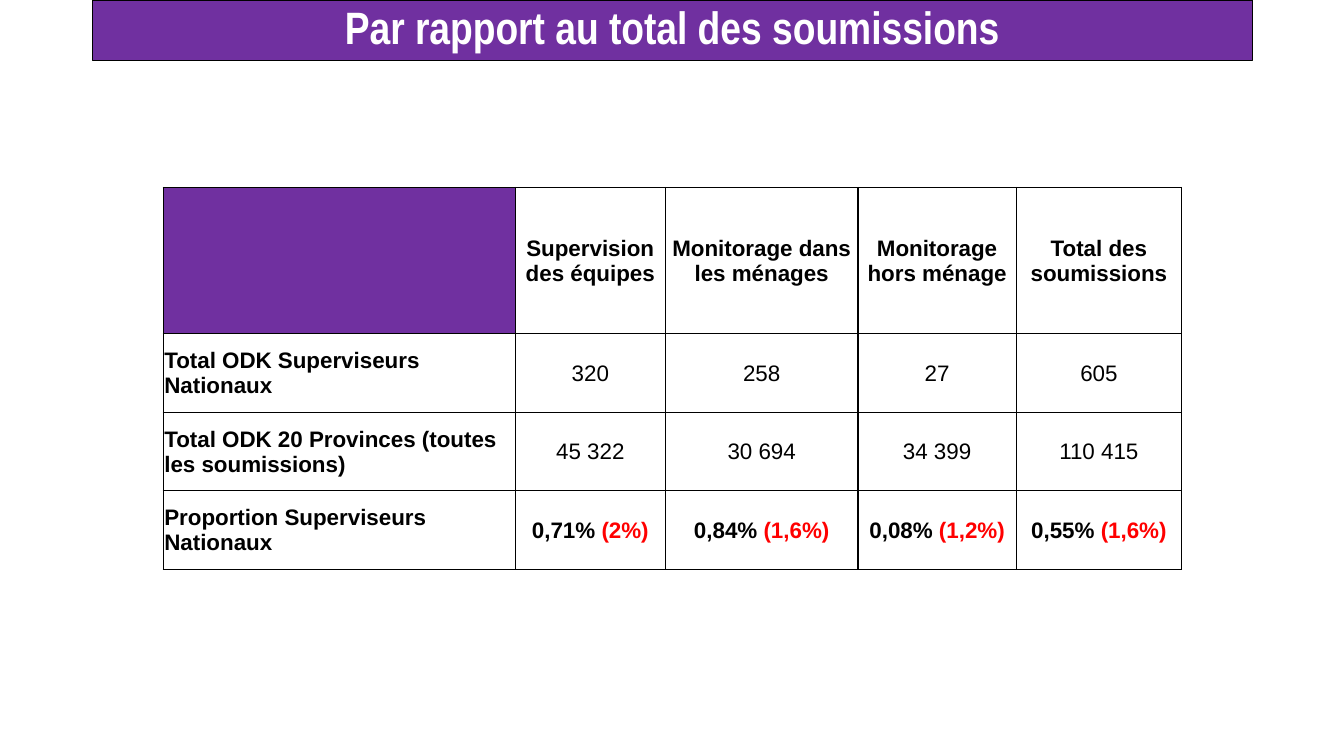
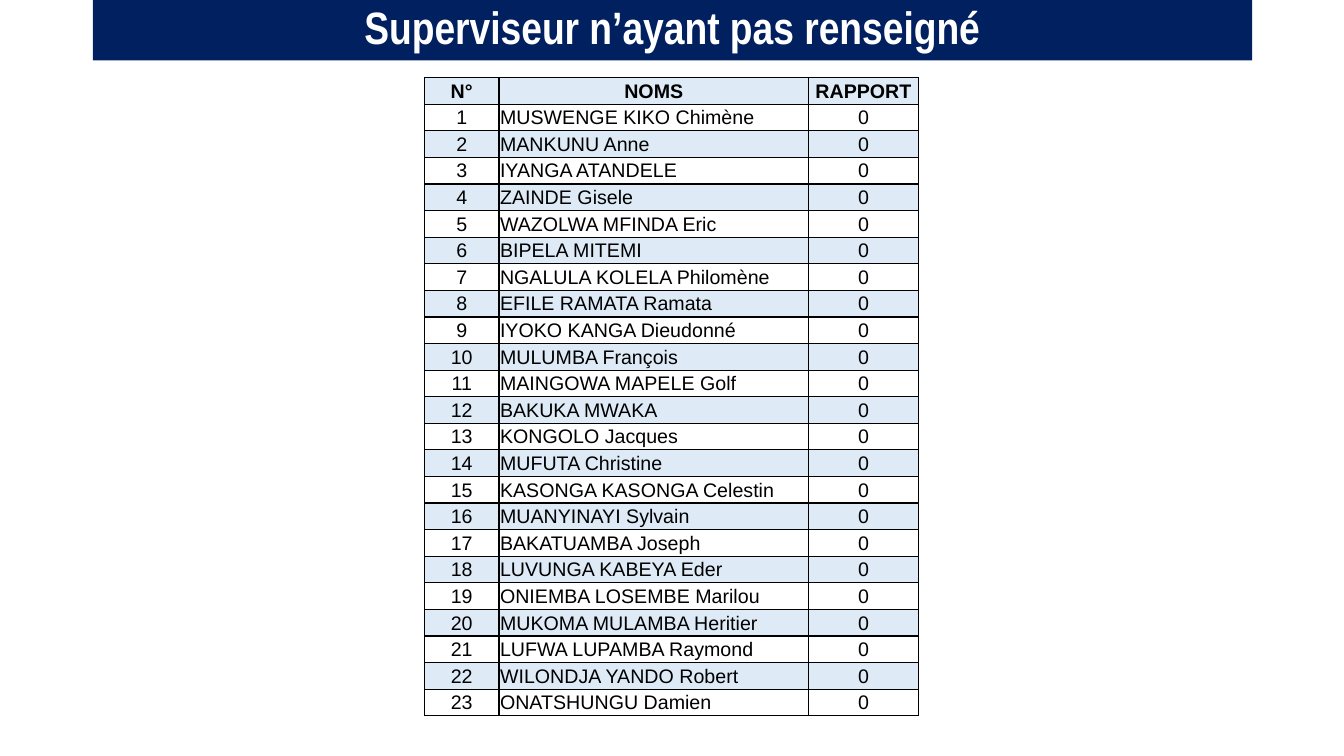
from pptx import Presentation
from pptx.dml.color import RGBColor
from pptx.enum.text import MSO_ANCHOR, MSO_AUTO_SIZE, PP_ALIGN
from pptx.oxml import parse_xml
from pptx.oxml.ns import nsdecls
from pptx.util import Inches, Pt

LEFT, CENTER = PP_ALIGN.LEFT, PP_ALIGN.CENTER
MIDDLE, NO_FIT = MSO_ANCHOR.MIDDLE, MSO_AUTO_SIZE.NONE

COLORS = {
    "purple": "7030A0",
    "navy": "002060",
    "band": "DEEBF7",
    "white": "FFFFFF",
    "black": "000000",
    "red": "FF0000",
}
TITLE_BOX = dict(left=Inches(0.92), top=Inches(0),
                 width=Inches(11.5), height=Inches(0.6))
TITLE_FONT = dict(name="Arial Narrow", size=Pt(32.4), bold=True)
CELL_PAD = dict(margin_left=Inches(0.01), margin_right=Inches(0.01),
                margin_top=Inches(0.01), margin_bottom=0,
                vertical_anchor=MIDDLE)

# A bar splits a cell into a black part and a red part
TOTALS = [
    ["", "Supervision des équipes", "Monitorage dans les ménages",
     "Monitorage hors ménage", "Total des soumissions"],
    ["Total ODK Superviseurs Nationaux", "320", "258", "27", "605"],
    ["Total ODK 20 Provinces (toutes les soumissions)",
     "45 322", "30 694", "34 399", "110 415"],
    ["Proportion Superviseurs Nationaux", "0,71% |(2%)", "0,84% |(1,6%)",
     "0,08% |(1,2%)", "0,55% |(1,6%)"],
]
NAMES = [
    "MUSWENGE KIKO Chimène", "MANKUNU Anne", "IYANGA ATANDELE",
    "ZAINDE Gisele", "WAZOLWA MFINDA Eric", "BIPELA MITEMI",
    "NGALULA KOLELA Philomène", "EFILE RAMATA Ramata",
    "IYOKO KANGA Dieudonné", "MULUMBA François", "MAINGOWA MAPELE Golf",
    "BAKUKA MWAKA", "KONGOLO Jacques", "MUFUTA Christine",
    "KASONGA KASONGA Celestin", "MUANYINAYI Sylvain", "BAKATUAMBA Joseph",
    "LUVUNGA KABEYA Eder", "ONIEMBA LOSEMBE Marilou",
    "MUKOMA MULAMBA Heritier", "LUFWA LUPAMBA Raymond",
    "WILONDJA YANDO Robert", "ONATSHUNGU Damien",
]


def rgb(key):
    return RGBColor.from_string(COLORS[key])


def apply(item, values):
    for key, value in values.items():
        setattr(item, key, value)


def paint(item, key):
    item.fill.solid()
    item.fill.fore_color.rgb = rgb(key)


def add_slide(prs, title, color, edge=None):
    """Add a slide with its title in a coloured band."""
    slide = prs.slides.add_slide(prs.slide_layouts[5])
    band = slide.shapes.title
    apply(band, TITLE_BOX)
    paint(band, color)
    if edge:
        band.line.color.rgb = rgb(edge)
        band.line.width = Pt(0.75)
    frame = band.text_frame
    apply(frame, dict(text=title, word_wrap=True, auto_size=NO_FIT,
                      vertical_anchor=MIDDLE))
    para = frame.paragraphs[0]
    apply(para, dict(alignment=CENTER, line_spacing=0.9))
    apply(para.font, TITLE_FONT)
    para.font.color.rgb = rgb("white")
    return slide


def add_borders(cell):
    props = cell._tc.get_or_add_tcPr()
    for side in "LRTB":
        props.append(parse_xml(
            f'<a:ln{side} {nsdecls("a")} w="12700"><a:solidFill>'
            f'<a:srgbClr val="{COLORS["black"]}"/></a:solidFill></a:ln{side}>'))


def fill_cell(cell, text, size, bold, align, color):
    apply(cell, CELL_PAD)
    add_borders(cell)
    paint(cell, color)
    para = cell.text_frame.paragraphs[0]
    para.alignment = align
    for part, ink in zip(text.split("|"), ("black", "red")):
        if part:
            run = para.add_run()
            run.text = part
            apply(run.font, dict(name="Arial", size=Pt(size), bold=bold))
            run.font.color.rgb = rgb(ink)


def add_grid(slide, left, top, widths, heights, rows, style):
    """Add a table; style(row, col) gives the format of each cell."""
    frame = slide.shapes.add_table(
        len(rows), len(widths), Inches(left), Inches(top),
        Inches(sum(widths)), Inches(sum(heights)))
    table = frame.table
    apply(table, dict(first_row=False, horz_banding=False))
    for col, width in zip(table.columns, widths):
        col.width = Inches(width)
    for row, height in zip(table.rows, heights):
        row.height = Inches(height)
    for r, texts in enumerate(rows):
        for c, text in enumerate(texts):
            fill_cell(table.cell(r, c), text, **style(r, c))


def total_style(row, col):
    return dict(size=16, bold=row in (0, 3) or col == 0,
                align=CENTER if col else LEFT,
                color="white" if row or col else "purple")


def name_style(row, col):
    return dict(size=14, bold=row == 0,
                align=LEFT if row and col == 1 else CENTER,
                color="white" if row % 2 else "band")


def main():
    prs = Presentation()
    apply(prs, dict(slide_width=Inches(13.33), slide_height=Inches(7.5)))

    # Share of all submissions
    slide = add_slide(prs, "Par rapport au total des soumissions",
                      "purple", "black")
    add_grid(slide, 1.62, 1.86, [3.49, 1.49, 1.91, 1.57, 1.64],
             [1.45] + [0.78] * 3, TOTALS, total_style)

    # Supervisors without a report
    slide = add_slide(prs, "Superviseur n’ayant pas renseigné", "navy")
    rows = [["N°", "NOMS", "RAPPORT"]]
    rows += [[str(n), name, "0"] for n, name in enumerate(NAMES, 1)]
    add_grid(slide, 4.21, 0.77, [0.74, 3.07, 1.09],
             [6.34 / len(rows)] * len(rows), rows, name_style)

    prs.save("out.pptx")


if __name__ == "__main__":
    main()
